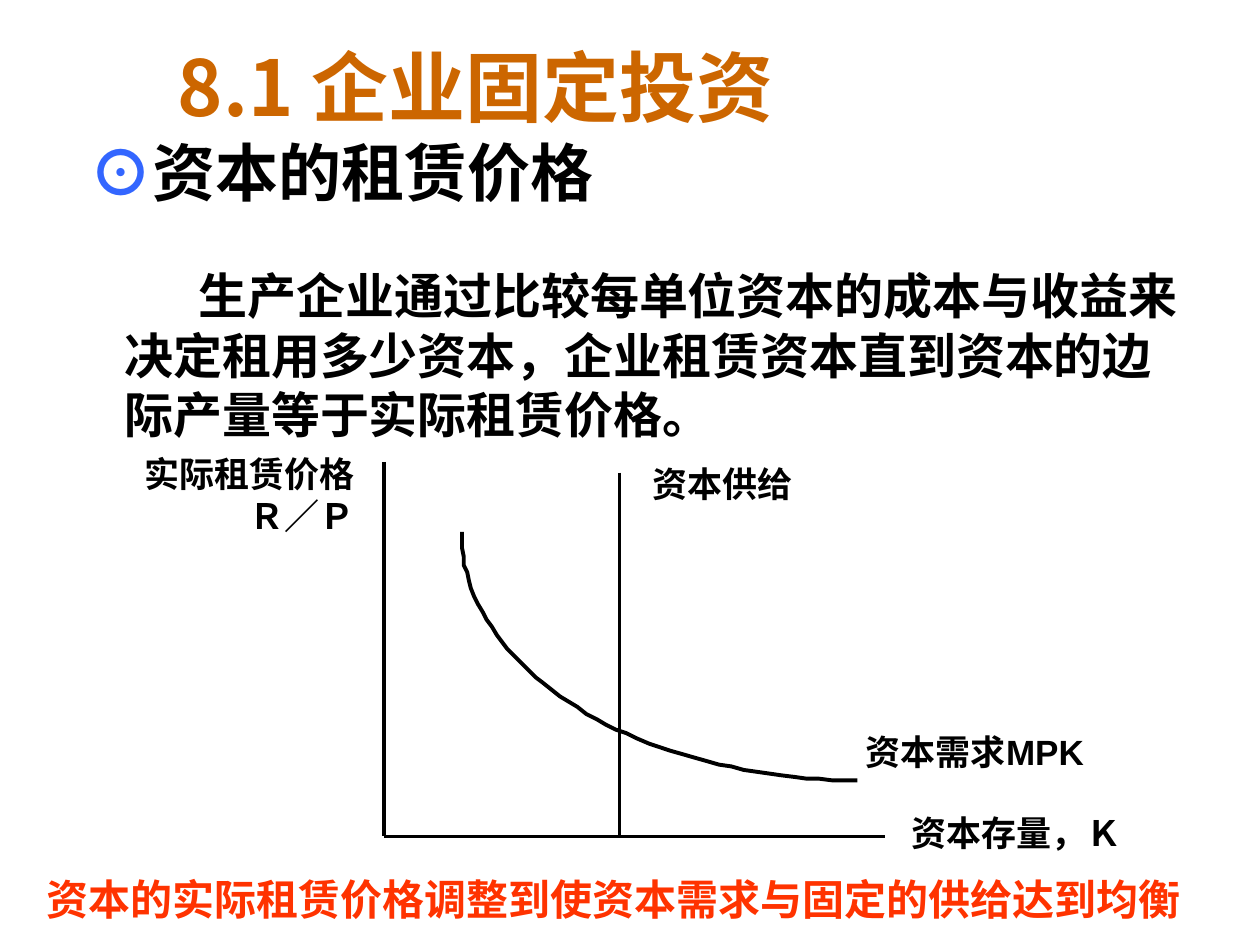
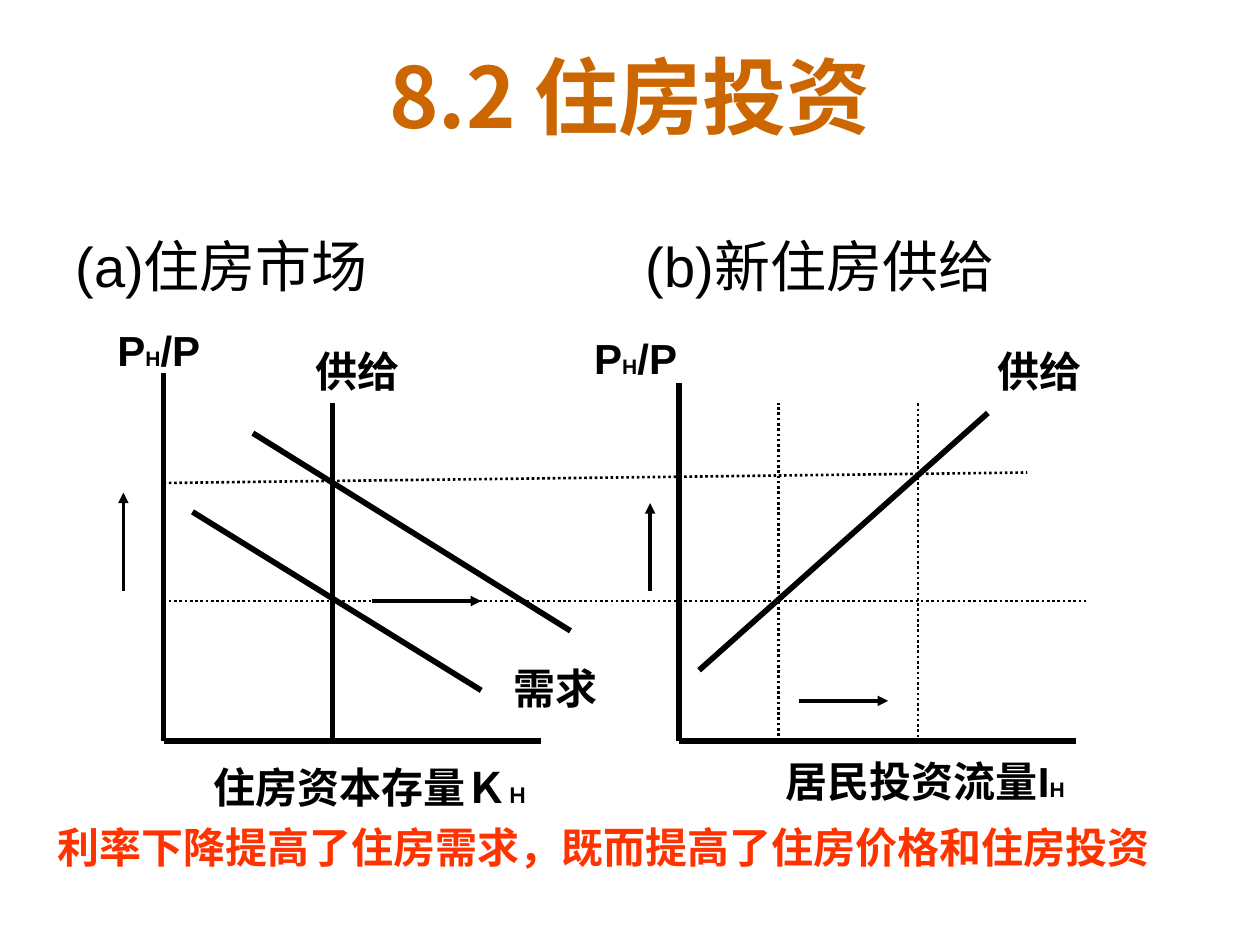
import math
import pptx
import pptx.util
import pptx.dml.color
import pptx.enum.dml
import pptx.enum.shapes
import pptx.enum.text
import pptx.oxml
import pptx.oxml.ns

Pt = pptx.util.Pt
RGB = pptx.dml.color.RGBColor
ALIGN = pptx.enum.text.PP_ALIGN
qn = pptx.oxml.ns.qn

BLACK = RGB(0x00, 0x00, 0x00)
ORANGE = RGB(0xCC, 0x66, 0x00)
BLUE = RGB(0x33, 0x66, 0xFF)
RED = RGB(0xFF, 0x33, 0x00)
ARIAL, NOTO = "Arial", "Noto Sans CJK SC"
LEAD = 1.2  # line height per point of text size

# Content of slide 1: capital market
HEAD1 = "8.1 企业固定投资"
TOPIC = [("⊙", 36, BLUE), ("资本的租赁价格", 36, BLACK)]
BODY = ("生产企业通过比较每单位资本的成本与收益来决定租用多少资本，"
        "企业租赁资本直到资本的边际产量等于实际租赁价格。")
NOTE1 = "资本的实际租赁价格调整到使资本需求与固定的供给达到均衡"
# Labels: lines of text, right edge, top, width
TAGS1 = [
    (["实际租赁价格", "Ｒ／Ｐ"], 210, 255, 150),
    (["资本存量，Ｋ"], 648, 460, 145),
    (["资本需求MPK"], 626.5, 414, 150),
    (["资本供给"], 460, 261, 100),
]
LEFT1, BASE1 = 219.5, 478
LINES1 = [
    (LEFT1, 264, LEFT1, BASE1),
    (LEFT1, BASE1, 506, BASE1),
    (354, 270, 354, BASE1),
]
CURVE = (490.5, 304, 227, 142)  # centre x, y and radii

# Content of slide 2: housing market and new supply
HEAD2 = "8.2 住房投资"
PARTS = "(a)住房市场\t(b)新住房供给"
NOTE2 = "利率下降提高了住房需求，既而提高了住房价格和住房投资"
PRICE = [("P", 24, BLACK), ("H", 12, BLACK), ("/P", 24, BLACK)]
STOCK = [("住房资本存量Ｋ", 24, BLACK), ("Ｈ", 12, BLACK)]
FLOW = [("居民投资流量I", 24, BLACK), ("H", 12, BLACK)]
TAGS2 = [
    ([PRICE], 121.5, 182, 80),
    ([PRICE], 394, 186.5, 80),
    (["需求"], 348.5, 375, 80),
    (["供给"], 235.5, 194, 80),
    (["供给"], 625, 194, 80),
    ([STOCK], 309, 431.5, 230),
    ([FLOW], 615.5, 428, 230),
]
LEFT2, MID2, BASE2, LOW = 93.5, 388, 423.5, 343.5
SOLID = [
    (LEFT2, 213, LEFT2, BASE2), (LEFT2, BASE2, 309, BASE2),
    (MID2, BASE2, 615, BASE2), (MID2, BASE2, MID2, 219),
    (190, 230.5, 190, BASE2), (399.5, 383, 564.5, 236),
    (110, 292.5, 275, 394.5), (144.5, 247.5, 326, 360.5),
]
DOTS = [
    (LEFT2, LOW, 620.5, LOW), (LEFT2, 276, 587, 270),
    (445, BASE2, 445, 230.5), (524.5, 230.5, 524.5, BASE2),
]
ARROWS = [
    (70.5, 337.5, 70.5, 281.5), (371.5, 337.5, 371.5, 287.5),
    (456.5, 400.5, 507.5, 400.5), (212.5, LOW, 275, LOW),
]


def add_para(para, runs, face=ARIAL, bold=True, lead=None):
    """Fill a paragraph with (text, size, colour) runs."""
    size = max(run[1] for run in runs)
    para.line_spacing = Pt(lead or size * LEAD)
    para.font.name, para.font.bold = face, bold
    for text, points, color in runs:
        run = para.add_run()
        run.text = text
        run.font.name, run.font.bold = face, bold
        run.font.size = Pt(points)
        run.font.color.rgb = color
        east = pptx.oxml.parse_xml(
            f'<a:ea {pptx.oxml.ns.nsdecls("a")} typeface="{NOTO}"/>')
        run.font._element.find(qn("a:latin")).addnext(east)


def add_box(slide, left, top, width, height):
    frame = slide.shapes.add_textbox(
        Pt(left), Pt(top), Pt(width), Pt(height)).text_frame
    frame.word_wrap = True
    return frame


def indent(para, left, first=0):
    props = para._p.get_or_add_pPr()
    props.set("marL", str(Pt(left)))
    props.set("indent", str(Pt(first)))


def add_head(slide, text, size, top):
    frame = add_box(slide, 36, top, 648, 57)
    add_para(frame.paragraphs[0], [(text, size, ORANGE)], NOTO)
    return frame


def add_note(slide, text, left, top):
    frame = add_box(slide, left, top, 680, 36)
    add_para(frame.paragraphs[0], [(text, 24, RED)])


def add_tags(slide, tags, size):
    for rows, right, top, width in tags:
        frame = add_box(slide, right - width, top, width,
                        len(rows) * size * LEAD + 7)
        for i, row in enumerate(rows):
            para = frame.add_paragraph() if i else frame.paragraphs[0]
            para.alignment = ALIGN.RIGHT
            runs = [(row, size, BLACK)] if isinstance(row, str) else row
            add_para(para, runs)


def add_lines(slide, lines, width, dash=None, arrow=False):
    for ends in lines:
        link = slide.shapes.add_connector(
            pptx.enum.shapes.MSO_CONNECTOR.STRAIGHT, *map(Pt, ends))
        link.line.color.rgb = BLACK
        link.line.width = Pt(width)
        if dash:
            link.line.dash_style = dash
        props = link._element.spPr
        if arrow:
            tip = pptx.oxml.ns.qn("a:tailEnd")
            props.find(qn("a:ln")).append(
                props.makeelement(tip, {"type": "triangle"}))
        props.append(props.makeelement(qn("a:effectLst"), {}))


def add_curve(slide, x, y, wide, high, steps=48):
    """Draw the lower left quarter of an ellipse."""
    turns = [math.pi / 2 * i / steps for i in range(steps + 1)]
    points = [(x - wide * math.cos(t), y + high * math.sin(t)) for t in turns]
    form = slide.shapes.build_freeform(*points[0], scale=Pt(1))
    form.add_line_segments(points[1:], close=False)
    curve = form.convert_to_shape()
    curve.fill.background()
    curve.line.color.rgb = BLACK
    curve.line.width = Pt(2.25)
    curve.shadow.inherit = False


def build_capital(slide):
    # Heading and topic share one box
    frame = add_head(slide, HEAD1, 44, 19)
    indent(frame.paragraphs[0], 58.5)
    topic = frame.add_paragraph()
    indent(topic, 8)
    add_para(topic, TOPIC, NOTO, lead=44)
    # Explanation
    para = add_box(slide, 36.5, 148, 648, 110).paragraphs[0]
    indent(para, 27.5, 42.5)
    add_para(para, [(BODY, 28, BLACK)], lead=34)
    # Supply and demand diagram
    add_lines(slide, LINES1, 2.25)
    add_curve(slide, *CURVE)
    add_tags(slide, TAGS1, 20)
    add_note(slide, NOTE1, 19.5, 495.5)


def build_housing(slide):
    add_head(slide, HEAD2, 48, 22).paragraphs[0].alignment = ALIGN.CENTER
    # Names of the two diagrams, set apart by a tab
    para = add_box(slide, 36, 129, 648, 46).paragraphs[0]
    para._p.get_or_add_pPr().append(pptx.oxml.parse_xml(
        f'<a:tabLst {pptx.oxml.ns.nsdecls("a")}>'
        f'<a:tab pos="{Pt(326)}" algn="l"/></a:tabLst>'))
    add_para(para, [(PARTS, 32, BLACK)], bold=False)
    # Diagrams
    add_lines(slide, DOTS, 1.5, pptx.enum.dml.MSO_LINE.ROUND_DOT)
    add_lines(slide, SOLID, 3.25)
    add_lines(slide, ARROWS, 2, arrow=True)
    add_tags(slide, TAGS2, 24)
    add_note(slide, NOTE2, 26, 466)


def main():
    deck = pptx.Presentation()
    deck.slide_width, deck.slide_height = Pt(720), Pt(540)
    for build in (build_capital, build_housing):
        build(deck.slides.add_slide(deck.slide_layouts[6]))
    deck.save("out.pptx")


if __name__ == "__main__":
    main()
